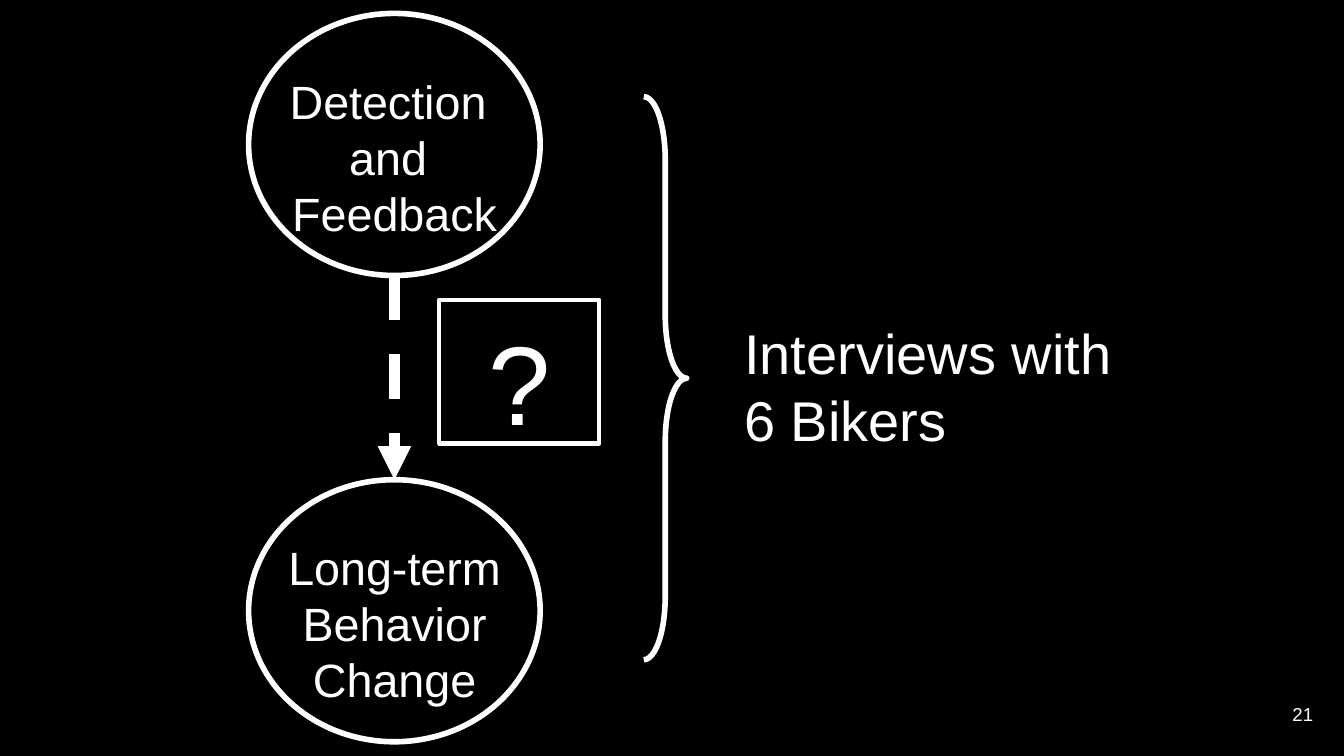
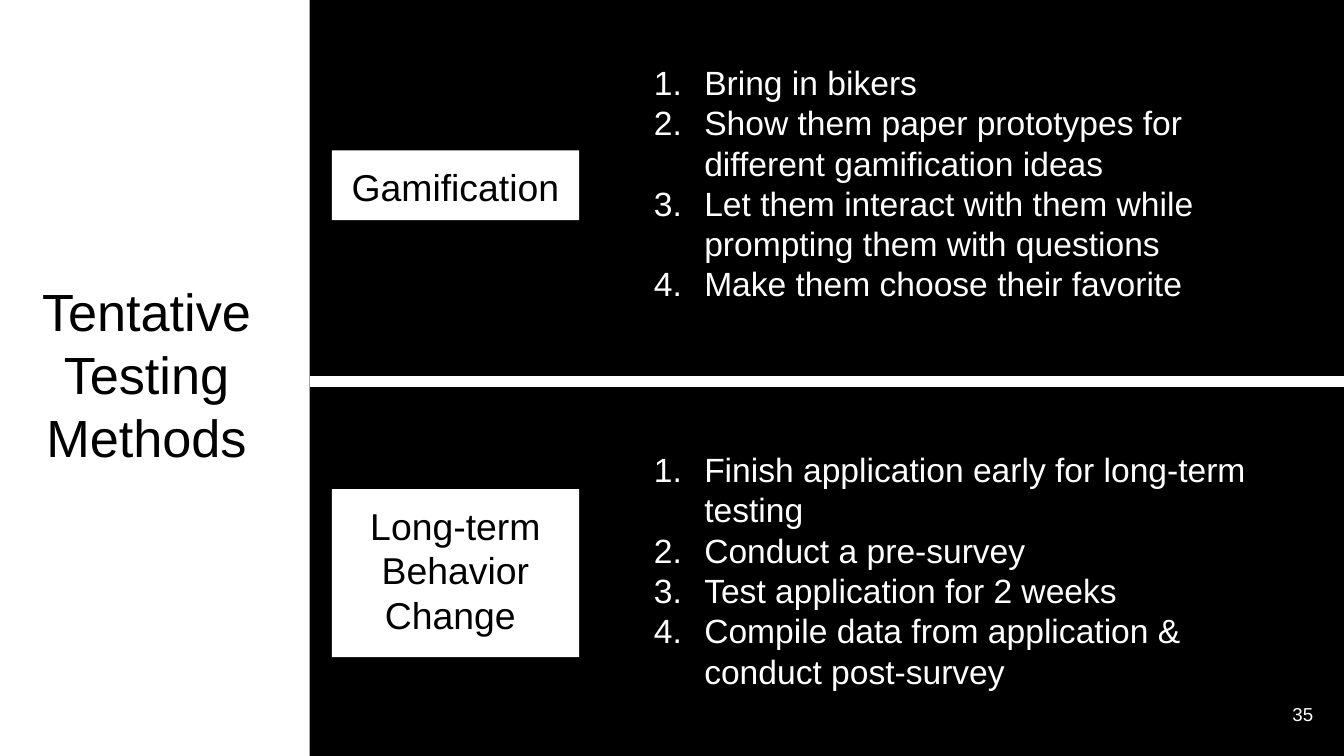
from lxml import etree
from pptx import Presentation
from pptx.dml.color import RGBColor
from pptx.enum.dml import MSO_LINE
from pptx.enum.shapes import MSO_CONNECTOR, MSO_SHAPE
from pptx.enum.text import MSO_ANCHOR, MSO_AUTO_SIZE, PP_ALIGN
from pptx.oxml.ns import qn
from pptx.util import Pt

LEFT, CENTER, RIGHT = PP_ALIGN.LEFT, PP_ALIGN.CENTER, PP_ALIGN.RIGHT
TOP, MIDDLE = MSO_ANCHOR.TOP, MSO_ANCHOR.MIDDLE
STRAIGHT, DASH = MSO_CONNECTOR.STRAIGHT, MSO_LINE.DASH
OVAL, RECT, BRACE = MSO_SHAPE.OVAL, MSO_SHAPE.RECTANGLE, MSO_SHAPE.RIGHT_BRACE
NO_AUTOFIT = MSO_AUTO_SIZE.NONE
TITLE_ONLY, TWO_CONTENT = 5, 3


class Theme:
    font = "Arial"
    black = RGBColor(0, 0, 0)
    white = RGBColor(255, 255, 255)
    question, caption, title, stage, label, item, number = 60, 30, 28, 25, 20, 18, 10
    inset = 7.2
    outline, title_outline, rule = 3, 2.25, 6


def write(sp, box, paragraphs, size, color, align=CENTER, anchor=TOP, numbered=False):
    """Place sp at box and fill it with paragraphs; a newline is a line break."""
    sp.left, sp.top, sp.width, sp.height = [Pt(v) for v in box]
    tf = sp.text_frame
    tf.word_wrap = True
    tf.auto_size = NO_AUTOFIT
    tf.vertical_anchor = anchor
    tf.margin_left = tf.margin_right = tf.margin_top = tf.margin_bottom = Pt(Theme.inset)
    for i, text in enumerate(paragraphs):
        p = tf.paragraphs[0] if i == 0 else tf.add_paragraph()
        if numbered:
            pPr = p._p.get_or_add_pPr()
            pPr.set("marL", str(Pt(36)))
            pPr.set("indent", str(Pt(-27)))
            buClr = etree.SubElement(pPr, qn("a:buClr"))
            etree.SubElement(buClr, qn("a:srgbClr"), val=str(color))
            etree.SubElement(pPr, qn("a:buAutoNum"), type="arabicPeriod")
        p.alignment = align
        p.space_before = Pt(0)
        for j, line in enumerate(text.split("\n")):
            if j:
                p.add_line_break()
            r = p.add_run()
            r.text = line
            r.font.name = Theme.font
            r.font.size = Pt(size)
            r.font.color.rgb = color


def draw(s, kind, box, fill=None, line=None):
    sp = s.shapes.add_shape(kind, *[Pt(v) for v in box])
    sp.shadow.inherit = False
    if fill is None:
        sp.fill.background()
    else:
        sp.fill.solid()
        sp.fill.fore_color.rgb = fill
    if line is None:
        sp.line.fill.background()
    else:
        sp.line.color.rgb = Theme.white
        sp.line.width = Pt(line)
    return sp


prs = Presentation()
prs.slide_width, prs.slide_height = Pt(720), Pt(405)
background = prs.slide_master.background.fill
background.solid()
background.fore_color.rgb = Theme.black

# Interviews slide
interviews = prs.slides.add_slide(prs.slide_layouts[TITLE_ONLY])
title = interviews.shapes.title
write(title, (235.4, 160.6, 85.7, 77), ["?"], Theme.question, Theme.white)
title.line.color.rgb = Theme.white
title.line.width = Pt(Theme.title_outline)

stages = [["Detection \nand \nFeedback"], ["Long-term", "Behavior", "Change"]]
for i, stage in enumerate(stages):
    top = 7.2 + i * 249.8
    draw(interviews, OVAL, (133.2, top, 156.2, 140.4), line=Theme.outline)
    sp = interviews.shapes.add_textbox(0, 0, 0, 0)
    write(sp, (113.8, top + 24.5, 195.1, 91.4), stage, Theme.stage, Theme.white)

brace = draw(interviews, BRACE, (344.9, 51.8, 23, 301.7), line=Theme.outline)
brace.adjustments[0] = 1.48
brace.adjustments[1] = 0.5
caption = interviews.shapes.add_textbox(0, 0, 0, 0)
write(caption, (391.7, 163.4, 213.1, 78.5), ["Interviews with 6 Bikers"],
      Theme.caption, Theme.white, LEFT)

# Testing methods slide
testing = prs.slides.add_slide(prs.slide_layouts[TWO_CONTENT])
panel = draw(testing, RECT, (-10, -0.7, 175.9, 409.7), fill=Theme.white)
testing.shapes._spTree.insert(2, panel._element)  # behind the title
write(testing.shapes.title, (0.7, 142.6, 155.5, 119.5), ["Tentative\nTesting", "Methods"],
      Theme.title, Theme.black)

methods = [
    ("Gamification", 80.6, 37.4, 25.9, 333.4, [
        "Bring in bikers",
        "Show them paper prototypes for different gamification ideas",
        "Let them interact with them while prompting them with questions",
        "Make them choose their favorite",
    ]),
    ("Long-term Behavior Change ", 262.1, 90, 233.3, 352.1, [
        "Finish application early for long-term testing",
        "Conduct a pre-survey",
        "Test application for 2 weeks",
        "Compile data from application & conduct post-survey",
    ]),
]
for idx, (label, label_top, label_height, list_top, list_width, steps) in enumerate(methods, 1):
    sp = draw(testing, RECT, (177.8, label_top, 132.5, label_height), fill=Theme.white)
    write(sp, (177.8, label_top, 132.5, label_height), [label], Theme.label, Theme.black)
    write(testing.placeholders[idx], (334.1, list_top, list_width, 146.9), steps,
          Theme.item, Theme.white, LEFT, numbered=True)

# Arrow between the stages, and rule between the methods
arrow = interviews.shapes.add_connector(STRAIGHT, Pt(211.3), Pt(147.6), Pt(211.3), Pt(257))
divider = testing.shapes.add_connector(STRAIGHT, Pt(166.3), Pt(204.5), Pt(734.4), Pt(204.5))
for connector in (arrow, divider):
    connector.line.color.rgb = Theme.white
    connector.line.width = Pt(Theme.rule)
    etree.SubElement(connector._element.spPr, qn("a:effectLst"))
arrow.line.dash_style = DASH
etree.SubElement(arrow.line._get_or_add_ln(), qn("a:tailEnd"), type="triangle")

# Slide numbers
for s, number in ((interviews, "21"), (testing, "35")):
    sp = s.shapes.add_textbox(0, 0, 0, 0)
    write(sp, (667.4, 367.2, 43.2, 31), [number], Theme.number, Theme.white, RIGHT, MIDDLE)

prs.save("out.pptx")
